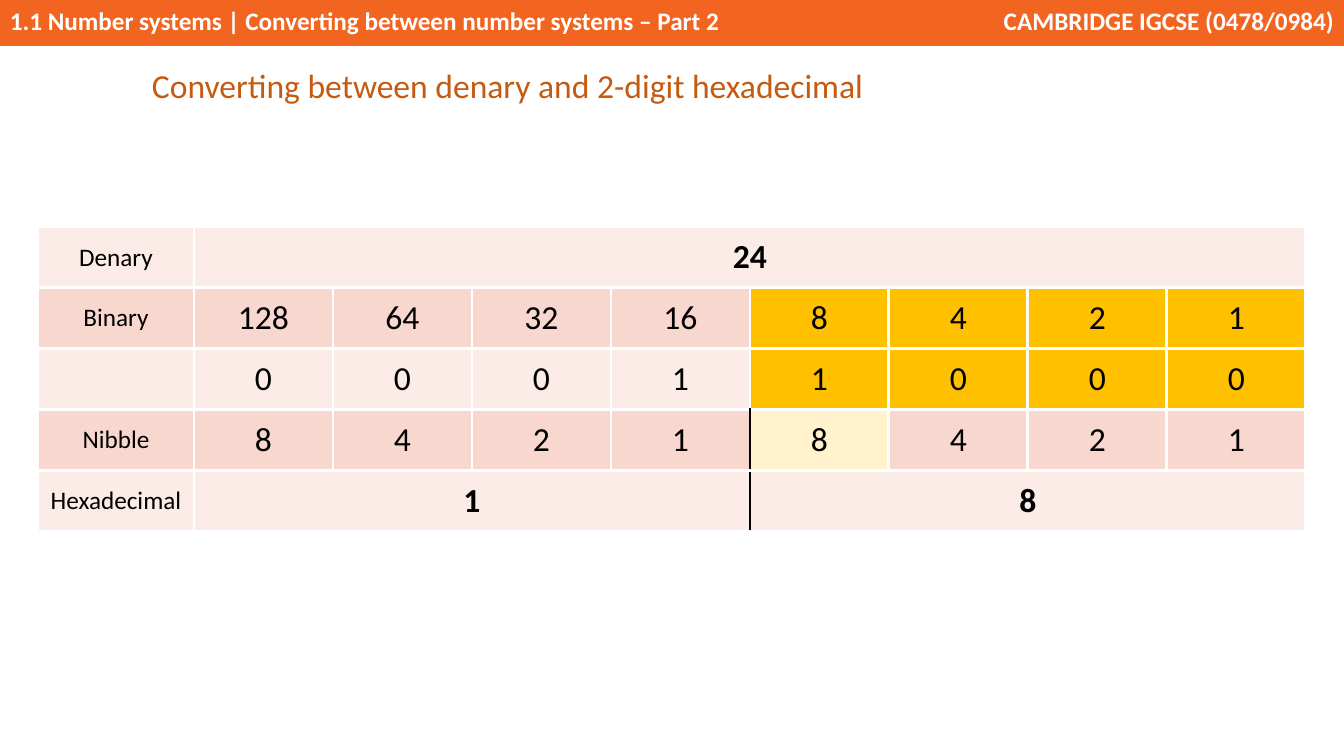
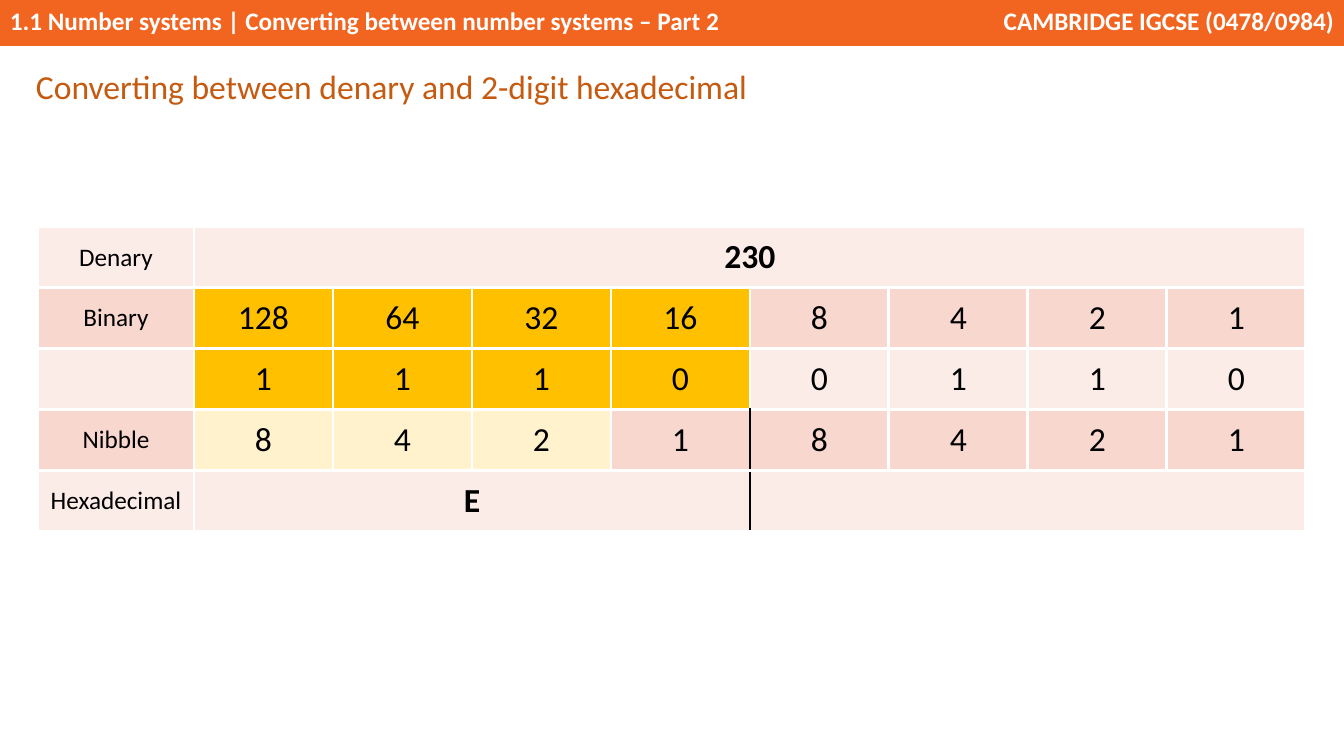
from lxml.etree import SubElement
from pptx import Presentation
from pptx.dml.color import RGBColor
from pptx.enum.shapes import MSO_SHAPE as Preset
from pptx.enum.text import MSO_ANCHOR as Anchor, MSO_AUTO_SIZE as AutoSize, PP_ALIGN as Align
from pptx.oxml.ns import qn
from pptx.util import Emu, Pt

# Shared measures and styles
SLIDE_WIDTH, SLIDE_HEIGHT = 1344, 756
FONT = "Calibri"
ORANGE, RUST = "F26521", "C55A11"
WHITE, BLACK = "FFFFFF", "000000"
PALE, ROSE = "FCECE8", "F8D7CE"
GOLD, CREAM = "FFC000", "FFF2CC"
TOPIC = "1.1 Number systems | Converting between number systems – Part 2"
COURSE = "CAMBRIDGE IGCSE (0478/0984)"
TITLE = "Converting between denary and 2-digit hexadecimal"
LABELS = ("Denary", "Binary", "", "Nibble", "Hexadecimal")
BITS, NIBBLE = 8, 4


def px(length):
    return Emu(round(length * 12192000 / SLIDE_WIDTH))


def color(value):
    return RGBColor.from_string(value)


def write_text(frame, text, size=18, ink=BLACK, bold=False, align=Align.LEFT,
               line_spacing=None, space_after=None):
    paragraph = frame.paragraphs[0]
    paragraph.alignment = align
    paragraph.line_spacing = line_spacing
    if space_after is not None:
        paragraph.space_after = Pt(space_after)
    font = paragraph.font
    if text:
        run = paragraph.add_run()
        run.text = text
        font = run.font
    font.name, font.size, font.bold = FONT, Pt(size), bold
    font.color.rgb = color(ink)


# Header band
def add_band(slide, left, top, width, height, text, align):
    shape = slide.shapes.add_shape(Preset.RECTANGLE, px(left), px(top), px(width), px(height))
    shape.shadow.inherit = False
    shape.fill.solid()
    shape.fill.fore_color.rgb = color(ORANGE)
    shape.line.fill.background()
    frame = shape.text_frame
    frame.word_wrap = True
    frame.vertical_anchor = Anchor.TOP
    write_text(frame, text, ink=WHITE, bold=True, align=align)


def add_header(slide, left, top, width, height):
    add_band(slide, left, top, 1113, height, TOPIC, Align.LEFT)
    course_width = 358
    add_band(slide, left + width - course_width, top, course_width, height, COURSE, Align.RIGHT)


# Slide title
def add_title(slide, left, top, width, height):
    box = slide.shapes.add_textbox(px(left), px(top), px(width), px(height))
    frame = box.text_frame
    frame.word_wrap = True
    frame.auto_size = AutoSize.SHAPE_TO_FIT_TEXT
    write_text(frame, TITLE, size=24, ink=RUST, line_spacing=1.07, space_after=8)


# Conversion table
def set_borders(cell, **inks):
    properties = cell._tc.get_or_add_tcPr()
    for position, side in enumerate("LRTB"):
        line = SubElement(properties, qn(f"a:ln{side}"), w=str(Pt(2.25)))
        fill = SubElement(line, qn("a:solidFill"))
        SubElement(fill, qn("a:srgbClr"), val=inks.get(side, WHITE))
        properties.remove(line)
        properties.insert(position, line)


def fill_cell(cell, text, fill, **format):
    cell.fill.solid()
    cell.fill.fore_color.rgb = color(fill)
    cell.vertical_anchor = Anchor.MIDDLE
    write_text(cell.text_frame, text, align=Align.CENTER, **format)


def table_content(number, active):
    """Return the rows of texts and the cell fills with the active nibble marked."""
    bits = f"{number:08b}"
    digits = f"{number:02X}"
    weights = [str(2 ** power) for power in reversed(range(BITS))]
    texts = [[label] + [""] * BITS for label in LABELS]
    texts[0][1] = str(number)
    texts[1][1:] = weights
    texts[2][1:] = bits
    texts[3][1:] = weights[NIBBLE:] * 2
    for nibble in range(active + 1):
        texts[4][1 + nibble * NIBBLE] = digits[nibble]

    fills = [[ROSE if row % 2 else PALE] * (BITS + 1) for row in range(len(LABELS))]
    for bit in range(active * NIBBLE, (active + 1) * NIBBLE):
        fills[1][bit + 1] = fills[2][bit + 1] = GOLD
        if bits[bit] == "1":
            fills[3][bit + 1] = CREAM
    return texts, fills


def add_conversion_table(slide, left, top, width, height, number, active):
    texts, fills = table_content(number, active)
    rows, columns = len(LABELS), BITS + 1
    frame = slide.shapes.add_table(rows, columns, px(left), px(top), px(width), px(height))
    table = frame.table
    table.first_row = table.horz_banding = False

    label_width = 156
    for index, column in enumerate(table.columns):
        column.width = px(label_width if index == 0 else (width - label_width) / BITS)
    for row in table.rows:
        row.height = px(height / rows)

    for row in range(rows):
        for column in range(columns):
            cell = table.cell(row, column)
            fill_cell(cell, texts[row][column], fills[row][column],
                      size=24 if column else 18,
                      bold=column > 0 and row in (0, rows - 1))
            # Black divider between the two nibbles
            divider = {}
            if row >= 3 and column == NIBBLE:
                divider = {"R": BLACK}
            elif row >= 3 and column == NIBBLE + 1:
                divider = {"L": BLACK}
            elif row == rows - 1 and column == 1:
                divider = {"R": BLACK}
            set_borders(cell, **divider)

    table.cell(0, 1).merge(table.cell(0, BITS))
    for first in (1, NIBBLE + 1):
        table.cell(rows - 1, first).merge(table.cell(rows - 1, first + NIBBLE - 1))


def add_conversion_slide(presentation, number, active, title_left, title_top):
    slide = presentation.slides.add_slide(presentation.slide_layouts[6])
    add_header(slide, 0, 0, SLIDE_WIDTH, 46)
    add_title(slide, title_left, title_top, 748, 51)
    add_conversion_table(slide, 38, 227, 1268, 304, number, active)


def main():
    presentation = Presentation()
    presentation.slide_width = px(SLIDE_WIDTH)
    presentation.slide_height = px(SLIDE_HEIGHT)
    add_conversion_slide(presentation, number=24, active=1, title_left=142, title_top=57)
    add_conversion_slide(presentation, number=230, active=0, title_left=26, title_top=58)
    presentation.save("out.pptx")


if __name__ == "__main__":
    main()
